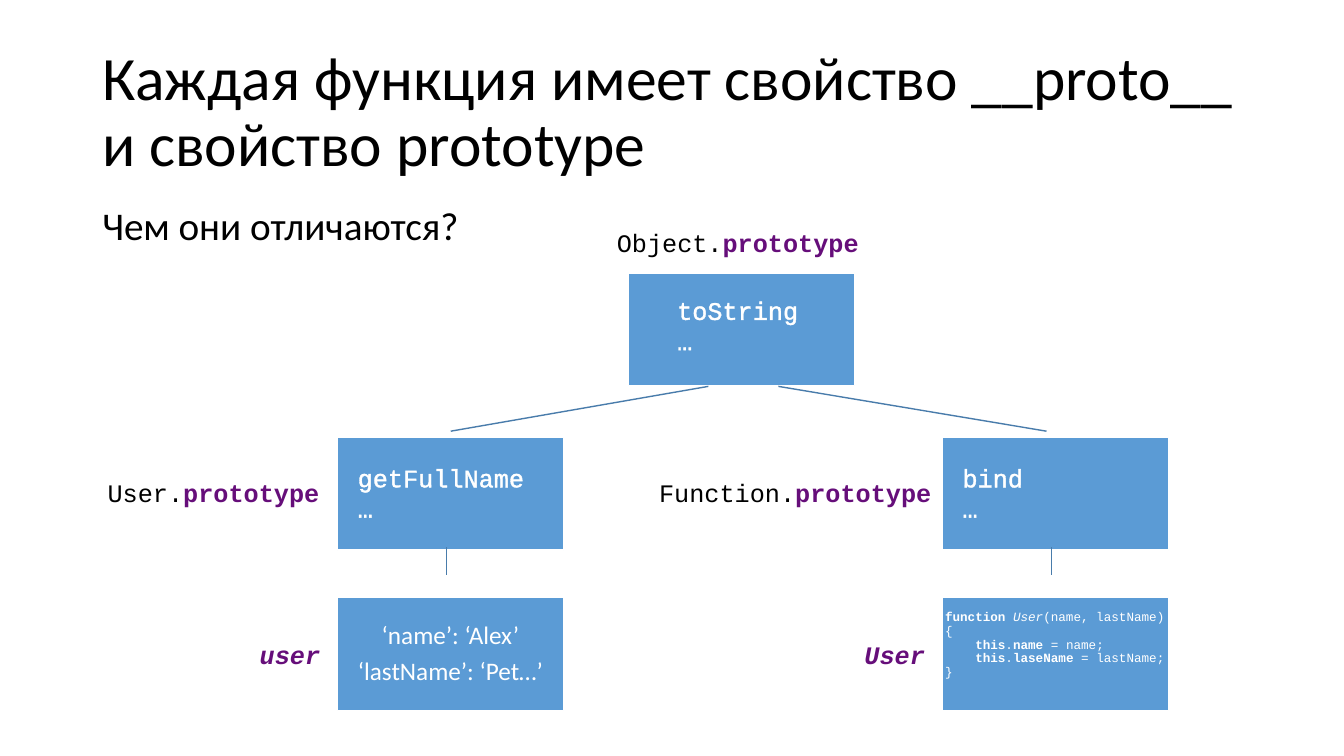
"""Builds a slide about prototype chains in JavaScript."""
from dataclasses import dataclass
from typing import NamedTuple

from lxml.etree import SubElement
from pptx import Presentation
from pptx.dml.color import RGBColor
from pptx.enum.shapes import MSO_CONNECTOR as Connector, MSO_SHAPE as Preset
from pptx.enum.text import MSO_ANCHOR as Anchor, PP_ALIGN as Align
from pptx.oxml import parse_xml
from pptx.oxml.ns import nsdecls, qn
from pptx.util import Pt


@dataclass(frozen=True)
class Theme:
    ink: RGBColor = RGBColor(0, 0, 0)
    paper: RGBColor = RGBColor(0xFF, 0xFF, 0xFF)
    keyword: RGBColor = RGBColor(0x66, 0x0E, 0x7A)
    box: RGBColor = RGBColor(0x5B, 0x9B, 0xD5)
    link: RGBColor = RGBColor(0x49, 0x7C, 0xAB)
    sans: str = "Calibri"
    mono: str = "Courier New"
    title: float = 44
    question: float = 28
    label: float = 18
    code: float = 9


class Span(NamedTuple):
    text: str
    color: RGBColor
    bold: bool = False
    italic: bool = False


class Line(NamedTuple):
    spans: list[Span]
    indent: float = 0


class Area(NamedTuple):
    left: float
    top: float
    width: float
    height: float


class Link(NamedTuple):
    x1: float
    y1: float
    x2: float
    y2: float


@dataclass(frozen=True)
class Prototype:
    owner: str
    method: str
    box: Area
    label: Area
    members: Area


@dataclass(frozen=True)
class Instance:
    name: str
    box: Area
    content: list[Line]
    font: str
    size: float
    align: Align
    gap: float
    bottom: float


theme = Theme()
deck = Presentation()
deck.slide_width, deck.slide_height = Pt(960), Pt(540)
slide = deck.slides.add_slide(deck.slide_layouts[6])
shapes = slide.shapes


def write(frame, lines: list[Line], font: str, size: float, align=Align.LEFT,
          spacing: float = 1, gap: float = 0) -> None:
    for number, line in enumerate(lines):
        paragraph = frame.add_paragraph() if number else frame.paragraphs[0]
        paragraph.alignment = align
        paragraph.line_spacing = spacing
        paragraph.space_after = Pt(gap)
        if line.indent:
            paragraph._p.get_or_add_pPr().set("marL", str(Pt(line.indent)))
        for span in line.spans:
            run = paragraph.add_run()
            run.text = span.text
            run.font.name, run.font.size = font, Pt(size)
            run.font.bold, run.font.italic = span.bold, span.italic
            run.font.color.rgb = span.color


def add_text(area: Area, lines: list[Line], font: str, size: float,
             wrap: bool = False, anchor=Anchor.MIDDLE, spacing: float = 1):
    text = shapes.add_textbox(*map(Pt, area))
    text.text_frame.word_wrap = wrap
    text.text_frame.vertical_anchor = anchor
    write(text.text_frame, lines, font, size, spacing=spacing)
    return text


def add_label(area: Area, spans: list[Span]) -> None:
    label = add_text(area, [Line(spans)], theme.mono, theme.label)
    label.fill.solid()
    label.fill.fore_color.rgb = theme.paper


def add_box(area: Area):
    box = shapes.add_shape(Preset.RECTANGLE, *map(Pt, area))
    box.shadow.inherit = False
    box.fill.solid()
    box.fill.fore_color.rgb = theme.box
    box.line.color.rgb = theme.paper
    box.line.width = Pt(1)
    return box


def add_prototype(item: Prototype) -> None:
    add_label(item.label, [Span(item.owner + ".", theme.ink),
                           Span("prototype", theme.keyword, bold=True)])
    add_box(item.box)
    lines = [Line([Span(text, theme.paper)]) for text in (item.method, "…")]
    members = add_text(item.members, lines, theme.mono, theme.label)
    for paragraph in members.text_frame.paragraphs:
        for run in paragraph.runs:
            outline = parse_xml(
                f'<a:ln {nsdecls("a")} w="{Pt(0.75)}"><a:solidFill>'
                f'<a:srgbClr val="{theme.paper}"/></a:solidFill></a:ln>')
            run._r.get_or_add_rPr().insert(0, outline)


def add_instance(item: Instance) -> None:
    box = item.box
    add_label(Area(box.left - 62.6, box.top + 26, 58.3, 29),
              [Span(item.name, theme.keyword, bold=True, italic=True)])
    frame = add_box(box).text_frame
    frame.word_wrap = True
    frame.vertical_anchor = Anchor.MIDDLE
    frame.margin_left = frame.margin_right = frame.margin_top = Pt(2)
    frame.margin_bottom = Pt(item.bottom)
    write(frame, item.content, item.font, item.size, item.align, 0.9, item.gap)


def add_link(link: Link) -> None:
    line = shapes.add_connector(Connector.STRAIGHT, *map(Pt, link))
    line.line.color.rgb = theme.link
    line.line.width = Pt(1)
    SubElement(line._element.spPr, qn("a:effectLst"))


def box_at(left: float, top: float) -> Area:
    return Area(left, top, 161.5, 80.5)


def plain(text: str) -> Span:
    return Span(text, theme.paper)


def strong(text: str) -> Span:
    return Span(text, theme.paper, bold=True)


def assignment(field: str, value: str) -> Line:
    return Line([strong("this"), plain("."), strong(field + " "), plain(f"= {value};")], 21.6)


USER_X, FUNCTION_X, OBJECT_X = 241, 673, 449
TOP_Y, MIDDLE_Y, BOTTOM_Y = 195, 312.5, 427

prototypes = [
    Prototype("Object", "toString", box_at(OBJECT_X, TOP_Y),
              Area(433.5, 159, 188, 29), Area(476.6, 206.6, 101.5, 51)),
    Prototype("User", "getFullName", box_at(USER_X, MIDDLE_Y),
              Area(69.8, 337, 166.3, 29), Area(248.4, 326.2, 134, 51)),
    Prototype("Function", "bind", box_at(FUNCTION_X, MIDDLE_Y),
              Area(463.7, 337, 210.2, 29), Area(680.4, 326.2, 58.3, 51)),
]
fields = [Line([plain(text)]) for text in ("‘name’: ‘Alex’", "‘lastName’: ‘Pet…’")]
constructor = [
    Line([strong("function "), Span("User", theme.paper, italic=True), plain("(name, lastName) {")]),
    assignment("name", "name"),
    assignment("laseName", "lastName"),
    Line([plain("}")]),
]
instances = [
    Instance("user", box_at(USER_X, BOTTOM_Y), fields, theme.sans, theme.label, Align.CENTER, 6.3, 2),
    Instance("User", box_at(FUNCTION_X, BOTTOM_Y), constructor, theme.mono, theme.code, Align.LEFT, 0, 15),
]
links = [Link(506, 276, 322, 308), Link(556, 276, 747.5, 308)]
links += [Link(left + 78, 391, left + 78, 411) for left in (USER_X, FUNCTION_X)]

add_text(Area(66, 29, 828, 104.4),
         [Line([Span("Каждая функция имеет свойство __proto__ и свойство prototype", theme.ink)])],
         theme.sans, theme.title, wrap=True, spacing=0.9)
add_text(Area(66, 144, 828, 342.6), [Line([Span("Чем они отличаются?", theme.ink)])],
         theme.sans, theme.question, wrap=True, anchor=Anchor.TOP, spacing=0.9)
for prototype in prototypes:
    add_prototype(prototype)
for instance in instances:
    add_instance(instance)
for link in links:
    add_link(link)

deck.save("out.pptx")
